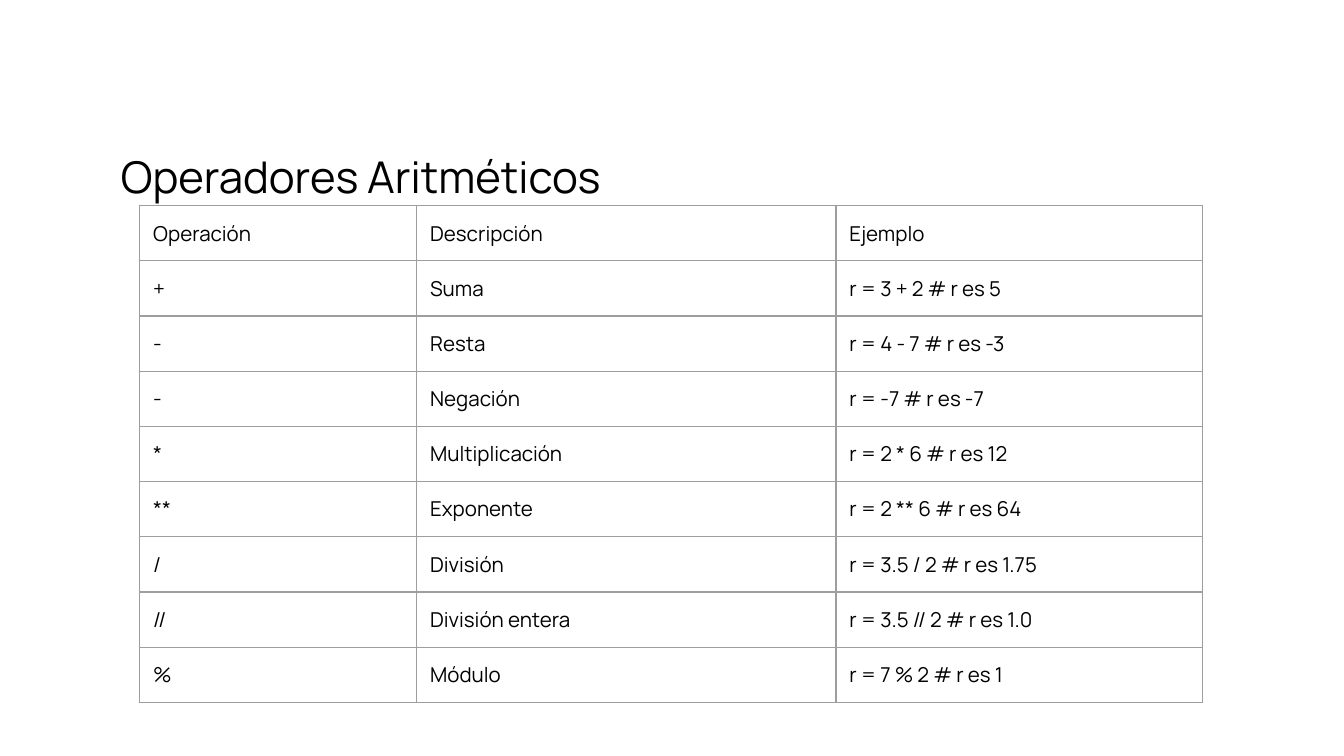
from lxml import etree
from pptx import Presentation
from pptx.dml.color import RGBColor
from pptx.enum.text import MSO_ANCHOR, MSO_AUTO_SIZE, PP_ALIGN
from pptx.oxml.ns import qn
from pptx.util import Inches, Pt

LEFT = PP_ALIGN.LEFT
MIDDLE = MSO_ANCHOR.MIDDLE
TOP = MSO_ANCHOR.TOP
NO_AUTOFIT = MSO_AUTO_SIZE.NONE
TITLE_ONLY_LAYOUT = 5

TITLE = "Operadores Aritméticos"
OPERATORS = [
    ("Operación", "Descripción", "Ejemplo"),
    ("+", "Suma", "r = 3 + 2 # r es 5"),
    ("-", "Resta", "r = 4 - 7 # r es -3"),
    ("-", "Negación", "r = -7 # r es -7"),
    ("*", "Multiplicación", "r = 2 * 6 # r es 12"),
    ("**", "Exponente", "r = 2 ** 6 # r es 64"),
    ("/", "División", "r = 3.5 / 2 # r es 1.75"),
    ("//", "División entera", "r = 3.5 // 2 # r es 1.0"),
    ("%", "Módulo", "r = 7 % 2 # r es 1"),
]

FONT = "Manrope"
COLORS = {"background": "FFFFFF", "text": "000000", "border": "9E9E9E"}
SLIDE_WIDTH = Inches(10)
SLIDE_HEIGHT = SLIDE_WIDTH * 9 // 16
COLUMN_WIDTHS = [2.06, 3.12, 2.73]
ROW_HEIGHT = 0.4
INSET = Inches(0.1)


def write_text(text_frame, text, size, line_spacing=1.0):
    paragraph = text_frame.paragraphs[0]
    paragraph.alignment = LEFT
    paragraph.line_spacing = line_spacing
    run = paragraph.add_run()
    run.text = text
    run.font.name = FONT
    run.font.size = Pt(size)
    run.font.color.rgb = RGBColor.from_string(COLORS["text"])


def set_insets(target):
    """Give a cell or a text frame the same margin on all four sides."""
    target.margin_left = target.margin_right = INSET
    target.margin_top = target.margin_bottom = INSET


def set_borders(cell, color, width):
    """Draw all four sides; the lines must come before the fill in the XML."""
    properties = cell._tc.get_or_add_tcPr()
    for position, side in enumerate(("lnL", "lnR", "lnT", "lnB")):
        line = etree.Element(qn(f"a:{side}"), w=str(Pt(width)))
        fill = etree.SubElement(line, qn("a:solidFill"))
        etree.SubElement(fill, qn("a:srgbClr"), val=color)
        properties.insert(position, line)


def add_title(slide):
    title = slide.shapes.title
    title.left, title.top = Inches(0.8), Inches(1.04)
    title.width, title.height = Inches(8.41), Inches(0.59)
    text_frame = title.text_frame
    text_frame.word_wrap = True
    text_frame.auto_size = NO_AUTOFIT
    text_frame.vertical_anchor = MIDDLE
    set_insets(text_frame)
    write_text(text_frame, TITLE, size=23.4, line_spacing=0.9)


def add_operator_table(slide):
    frame = slide.shapes.add_table(
        len(OPERATORS), len(COLUMN_WIDTHS), Inches(1.04), Inches(1.53),
        Inches(sum(COLUMN_WIDTHS)), Inches(ROW_HEIGHT * len(OPERATORS)))
    table = frame.table
    table.first_row = table.horz_banding = False
    for column, width in zip(table.columns, COLUMN_WIDTHS):
        column.width = Inches(width)
    for row, texts in zip(table.rows, OPERATORS):
        row.height = Inches(ROW_HEIGHT)
        for cell, text in zip(row.cells, texts):
            cell.fill.background()
            cell.vertical_anchor = TOP
            set_insets(cell)
            set_borders(cell, COLORS["border"], 0.75)
            write_text(cell.text_frame, text, size=11)


def main():
    presentation = Presentation()
    presentation.slide_width = SLIDE_WIDTH
    presentation.slide_height = SLIDE_HEIGHT
    slide = presentation.slides.add_slide(
        presentation.slide_layouts[TITLE_ONLY_LAYOUT])
    background = slide.background.fill
    background.solid()
    background.fore_color.rgb = RGBColor.from_string(COLORS["background"])
    add_title(slide)
    add_operator_table(slide)
    presentation.save("out.pptx")


if __name__ == "__main__":
    main()
